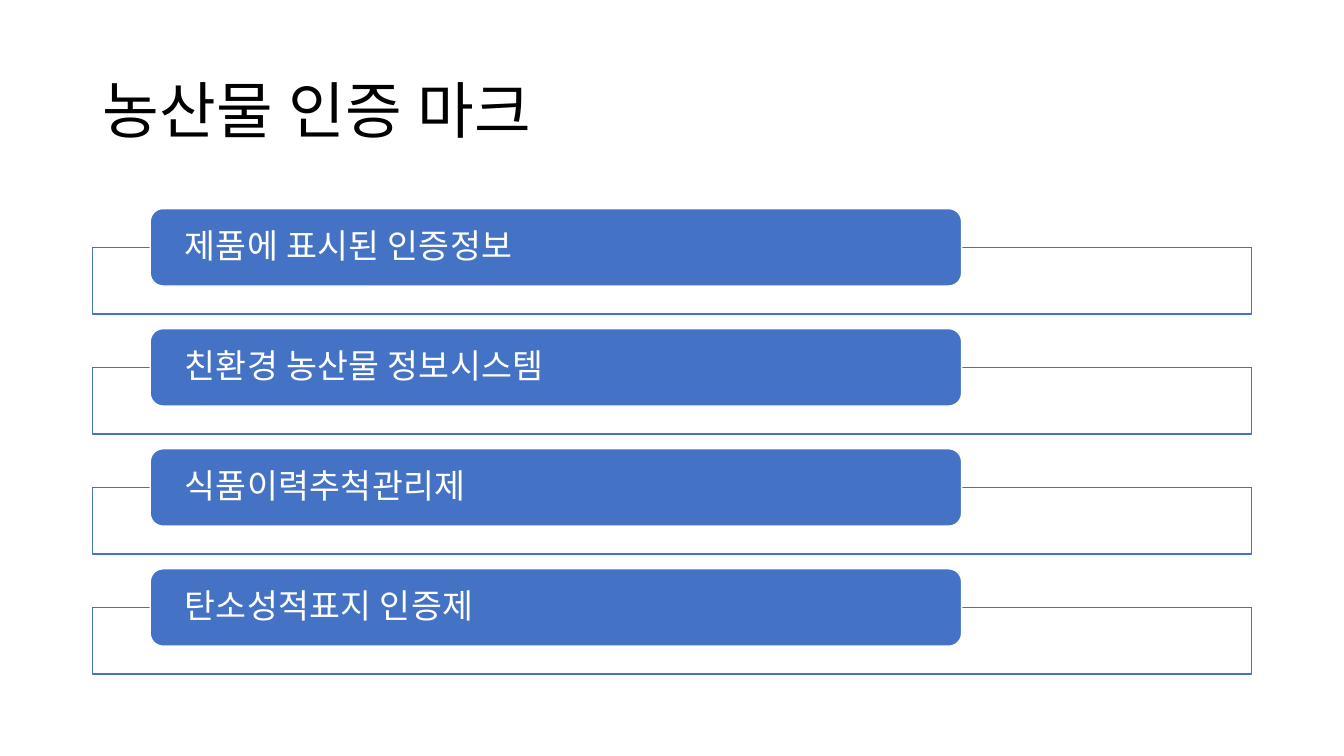
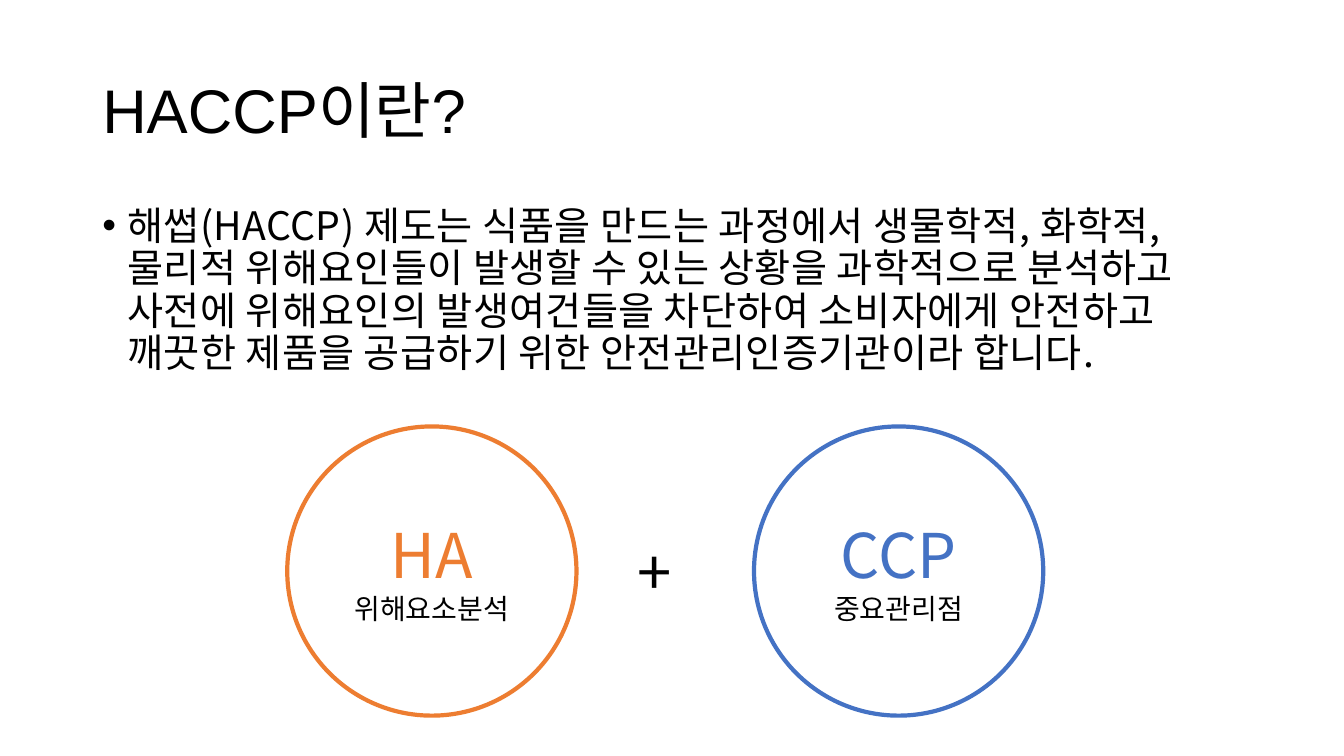
from pptx import Presentation
from pptx.dml.color import RGBColor
from pptx.enum.shapes import MSO_SHAPE
from pptx.enum.text import MSO_ANCHOR, PP_ALIGN
from pptx.oxml.ns import qn
from pptx.util import Pt

RECTANGLE, ROUNDED, OVAL = MSO_SHAPE.RECTANGLE, MSO_SHAPE.ROUNDED_RECTANGLE, MSO_SHAPE.OVAL
TOP, MIDDLE = MSO_ANCHOR.TOP, MSO_ANCHOR.MIDDLE
LEFT, CENTER = PP_ALIGN.LEFT, PP_ALIGN.CENTER

BLUE, ORANGE, WHITE, BLACK = "4472C4", "ED7D31", "FFFFFF", "000000"
KOREAN, LATIN = "Noto Sans CJK KR", "Arial"
MARGIN, CONTENT_WIDTH = 66, 828

MARKS_TITLE = "농산물 인증 마크"
MARKS = [
    "제품에 표시된 인증정보",
    "친환경 농산물 정보시스템",
    "식품이력추척관리제",
    "탄소성적표지 인증제",
]
HACCP_TITLE = "HACCP이란?"
DEFINITION = (
    "해썹(HACCP) 제도는 식품을 만드는 과정에서 생물학적, 화학적, 물리적 위해요인들이 "
    "발생할 수 있는 상황을 과학적으로 분석하고 사전에 위해요인의 발생여건들을 차단하여 "
    "소비자에게 안전하고 깨끗한 제품을 공급하기 위한 안전관리인증기관이라 합니다."
)
HACCP_PARTS = [("HA", "위해요소분석", ORANGE), ("CCP", "중요관리점", BLUE)]

MARKS_TOP, MARK_PITCH = 149, 85.75
TAB_LEFT, TAB_WIDTH, TAB_HEIGHT = 107.3, 579.6, 55.3
FRAME_OFFSET, FRAME_HEIGHT = 27.6, 47.6
CIRCLE_LEFT, CIRCLE_TOP, CIRCLE_SIZE, CIRCLE_PITCH = 205.2, 304.6, 206.6, 333.4


def color(code):
    """Turn a hex string into a colour."""
    return RGBColor.from_string(code)


def write(holder, lines, anchor=MIDDLE, align=LEFT, inset=7.2, spacing=1.0, tracking=0):
    """Fill a shape with (text, size, colour, latin font) lines, tracking in percent of size."""
    frame = holder.text_frame
    frame.word_wrap = True
    frame.vertical_anchor = anchor
    frame.margin_left = frame.margin_right = Pt(inset)
    frame.margin_top = frame.margin_bottom = Pt(3.6)
    frame.text = "\n".join(line[0] for line in lines)
    for paragraph, (_, size, ink, face) in zip(frame.paragraphs, lines):
        paragraph.alignment = align
        paragraph.line_spacing = spacing
        for run in paragraph.runs:
            run.font.size = Pt(size)
            run.font.color.rgb = color(ink)
            run.font.name = face
            properties = run.font._element
            east_asian = properties.makeelement(qn("a:ea"), {"typeface": KOREAN})
            properties.find(qn("a:latin")).addnext(east_asian)
            if tracking:
                properties.set("spc", str(size * tracking))
    return frame


def add_text(slide, left, top, width, height, lines, **style):
    """Add a text box."""
    box = slide.shapes.add_textbox(Pt(left), Pt(top), Pt(width), Pt(height))
    return write(box, lines, **style)


def add_outlined(slide, kind, left, top, width, height, fill, line, weight):
    """Add a filled shape with an outline and no shadow."""
    shape = slide.shapes.add_shape(kind, Pt(left), Pt(top), Pt(width), Pt(height))
    shape.shadow.inherit = False
    shape.fill.solid()
    shape.fill.fore_color.rgb = color(fill)
    shape.line.color.rgb = color(line)
    shape.line.width = Pt(weight)
    return shape


def add_titled_slide(deck, title, face, tracking=0):
    """Add a blank slide with the shared title style."""
    slide = deck.slides.add_slide(deck.slide_layouts[6])
    add_text(slide, MARGIN, 28.8, CONTENT_WIDTH, 104.4, [(title, 44, BLACK, face)],
             spacing=0.9, tracking=tracking)
    return slide


def build_marks(deck):
    """Build the list of certification marks."""
    slide = add_titled_slide(deck, MARKS_TITLE, KOREAN, tracking=1)
    for index, mark in enumerate(MARKS):
        top = MARKS_TOP + index * MARK_PITCH
        add_outlined(slide, RECTANGLE, MARGIN, top + FRAME_OFFSET, CONTENT_WIDTH, FRAME_HEIGHT,
                     WHITE, BLUE, 1)
        tab = add_outlined(slide, ROUNDED, TAB_LEFT, top, TAB_WIDTH, TAB_HEIGHT, BLUE, WHITE, 1)
        write(tab, [(mark, 24, WHITE, KOREAN)], inset=22, spacing=0.9, tracking=1)


def build_haccp(deck):
    """Build the HACCP definition and its two parts."""
    slide = add_titled_slide(deck, HACCP_TITLE, LATIN)
    definition = add_text(slide, MARGIN, 144, CONTENT_WIDTH, 130,
                          [(DEFINITION, 28, BLACK, KOREAN)],
                          anchor=TOP, spacing=0.9, tracking=1)
    properties = definition.paragraphs[0]._p.get_or_add_pPr()
    properties.set("marL", str(Pt(18)))
    properties.set("indent", str(-Pt(18)))
    for tag, attributes in (("a:buFont", {"typeface": LATIN}), ("a:buChar", {"char": "•"})):
        properties.append(properties.makeelement(qn(tag), attributes))

    for index, (letters, meaning, accent) in enumerate(HACCP_PARTS):
        circle = add_outlined(slide, OVAL, CIRCLE_LEFT + index * CIRCLE_PITCH, CIRCLE_TOP,
                              CIRCLE_SIZE, CIRCLE_SIZE, WHITE, accent, 3)
        write(circle, [(letters, 44, accent, KOREAN), (meaning, 20, BLACK, KOREAN)],
              align=CENTER)
    add_text(slide, 448.6, 378, 52.6, 60.5, [("+", 44, BLACK, KOREAN)], anchor=TOP)


def main():
    """Build and save the deck."""
    deck = Presentation()
    deck.slide_width, deck.slide_height = Pt(960), Pt(540)
    build_marks(deck)
    build_haccp(deck)
    deck.save("out.pptx")


if __name__ == "__main__":
    main()
